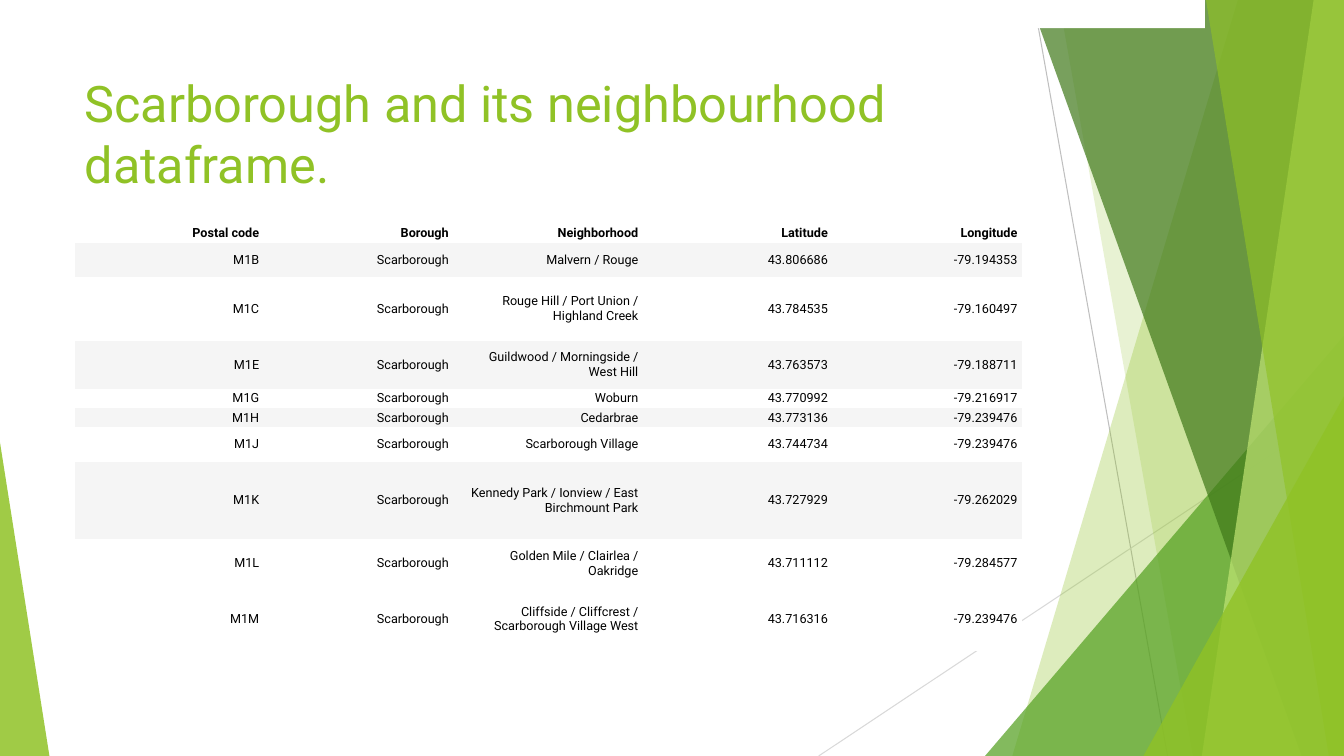
from dataclasses import dataclass

from lxml import etree
from pptx import Presentation
from pptx.dml.color import RGBColor
from pptx.enum.shapes import MSO_CONNECTOR, MSO_SHAPE
from pptx.enum.text import MSO_ANCHOR, PP_ALIGN
from pptx.oxml.ns import qn
from pptx.util import Inches, Pt


@dataclass(frozen=True)
class Theme:
    """Colours, font and type sizes of the slide."""
    font: str = "Roboto"
    title_size: int = 36
    table_size: int = 9
    text: str = "000000"
    white: str = "FFFFFF"
    band: str = "F5F5F5"
    lime: str = "90C226"
    green: str = "54A021"
    forest: str = "3F7819"
    pale: str = "C0E474"
    dark_line: str = "BFBFBF"
    light_line: str = "D9D9D9"


theme = Theme()
NO_TABLE_STYLE = "{2D5ABB26-0587-4C30-8999-92F81FD0307C}"


def paint(shape, color, opacity=100):
    """Give a shape a plain fill of the given opacity, with no line or shadow."""
    shape.shadow.inherit = False
    shape.line.fill.background()
    shape.fill.solid()
    shape.fill.fore_color.rgb = RGBColor.from_string(color)
    if opacity < 100:
        color_element = shape._element.spPr.find(qn("a:solidFill"))[0]
        etree.SubElement(color_element, qn("a:alpha"), val=str(opacity * 1000))


def add_run(paragraph, text, size, color, bold=False):
    """Add one formatted run to a paragraph."""
    run = paragraph.add_run()
    run.text = text
    run.font.name = theme.font
    run.font.size = Pt(size)
    run.font.bold = bold
    run.font.color.rgb = RGBColor.from_string(color)


presentation = Presentation()
presentation.slide_width = Inches(13.33)
presentation.slide_height = Inches(7.5)
slide = presentation.slides.add_slide(presentation.slide_layouts[5])
shapes = slide.shapes

# Thin lines behind the facets
for start_x, start_y, end_x, end_y, color in [
    (10.25, 0, 11.58, 7.5, theme.dark_line),
    (13.33, 4.03, 8.12, 7.5, theme.light_line),
]:
    connector = shapes.add_connector(
        MSO_CONNECTOR.STRAIGHT,
        Inches(start_x), Inches(start_y), Inches(end_x), Inches(end_y))
    connector.line.color.rgb = RGBColor.from_string(color)
    connector.line.width = Pt(0.75)
    etree.SubElement(connector._element.spPr, qn("a:effectLst"))

# Facets: full-height bands have a top and a bottom x at their left edge,
# triangles have a box and the position of their apex
right, top, bottom = 13.33, -0.01, 7.5
facets = [
    ("band", (12.28, 10.04), theme.lime, 30),
    ("band", (10.5, 11.83), theme.lime, 20),
    ("triangle", (9.77, 3.33, 3.56, 4.17, 1), theme.green, 72),
    ("band", (10.21, 12.91), theme.forest, 70),
    ("band", (13.03, 11.92), theme.pale, 70),
    ("band", (11.96, 13.18), theme.lime, 65),
    ("triangle", (11.34, 3.93, 1.99, 3.57, 1), theme.lime, 80),
    ("triangle", (0, 4.39, 0.49, 3.11, 0), theme.lime, 85),
]
for kind, geometry, color, opacity in facets:
    if kind == "band":
        top_x, bottom_x = geometry
        builder = shapes.build_freeform(Inches(top_x), Inches(top))
        builder.add_line_segments(
            [(Inches(x), Inches(y)) for x, y in
             [(right, top), (right, bottom), (bottom_x, bottom)]], close=True)
        facet = builder.convert_to_shape()
    else:
        *box, apex = geometry
        facet = shapes.add_shape(
            MSO_SHAPE.ISOSCELES_TRIANGLE, *[Inches(value) for value in box])
        facet.adjustments[0] = apex
    paint(facet, color, opacity)

# Title
title = shapes.title
title.left, title.top = Inches(0.74), Inches(0.67)
title.width, title.height = Inches(9.4), Inches(1.44)
title.text_frame.word_wrap = True
title.text_frame.vertical_anchor = MSO_ANCHOR.TOP
title_paragraph = title.text_frame.paragraphs[0]
title_paragraph.alignment = PP_ALIGN.LEFT
add_run(title_paragraph, "Scarborough and its neighbourhood dataframe.",
        theme.title_size, theme.lime)

# White strip over the top edge
strip = shapes.add_shape(
    MSO_SHAPE.RECTANGLE, Inches(-1.48), Inches(-0.29), Inches(13.43), Inches(0.57))
paint(strip, theme.white)

# Neighbourhood table
header = ["Postal code", "Borough", "Neighborhood", "Latitude", "Longitude"]
neighborhoods = [
    ("M1B", "Malvern / Rouge", "43.806686", "-79.194353"),
    ("M1C", "Rouge Hill / Port Union / Highland Creek", "43.784535", "-79.160497"),
    ("M1E", "Guildwood / Morningside / West Hill", "43.763573", "-79.188711"),
    ("M1G", "Woburn", "43.770992", "-79.216917"),
    ("M1H", "Cedarbrae", "43.773136", "-79.239476"),
    ("M1J", "Scarborough Village", "43.744734", "-79.239476"),
    ("M1K", "Kennedy Park / Ionview / East Birchmount Park", "43.727929", "-79.262029"),
    ("M1L", "Golden Mile / Clairlea / Oakridge", "43.711112", "-79.284577"),
    ("M1M", "Cliffside / Cliffcrest / Scarborough Village West",
     "43.716316", "-79.239476"),
]
rows = [header] + [[code, "Scarborough", *rest] for code, *rest in neighborhoods]
row_heights = [0.19, 0.34, 0.63, 0.48, 0.19, 0.19, 0.34, 0.77, 0.48, 0.63]
banded_rows = {1, 3, 5, 7}

table_frame = shapes.add_table(
    len(rows), len(header), Inches(0.74), Inches(2.22), Inches(9.4), Inches(4.26))
table_frame._element.find(".//" + qn("a:tableStyleId")).text = NO_TABLE_STYLE
table = table_frame.table
table.horz_banding = False
for column in table.columns:
    column.width = Inches(1.88)
for row_index, (values, height) in enumerate(zip(rows, row_heights)):
    table.rows[row_index].height = Inches(height)
    fill = theme.band if row_index in banded_rows else theme.white
    for cell, value in zip(table.rows[row_index].cells, values):
        cell.fill.solid()
        cell.fill.fore_color.rgb = RGBColor.from_string(fill)
        cell.vertical_anchor = MSO_ANCHOR.MIDDLE
        cell.margin_left = cell.margin_right = Inches(0.05)
        cell.margin_top = cell.margin_bottom = Inches(0.02)
        paragraph = cell.text_frame.paragraphs[0]
        paragraph.alignment = PP_ALIGN.RIGHT
        add_run(paragraph, value, theme.table_size, theme.text, bold=row_index == 0)

presentation.save("out.pptx")
